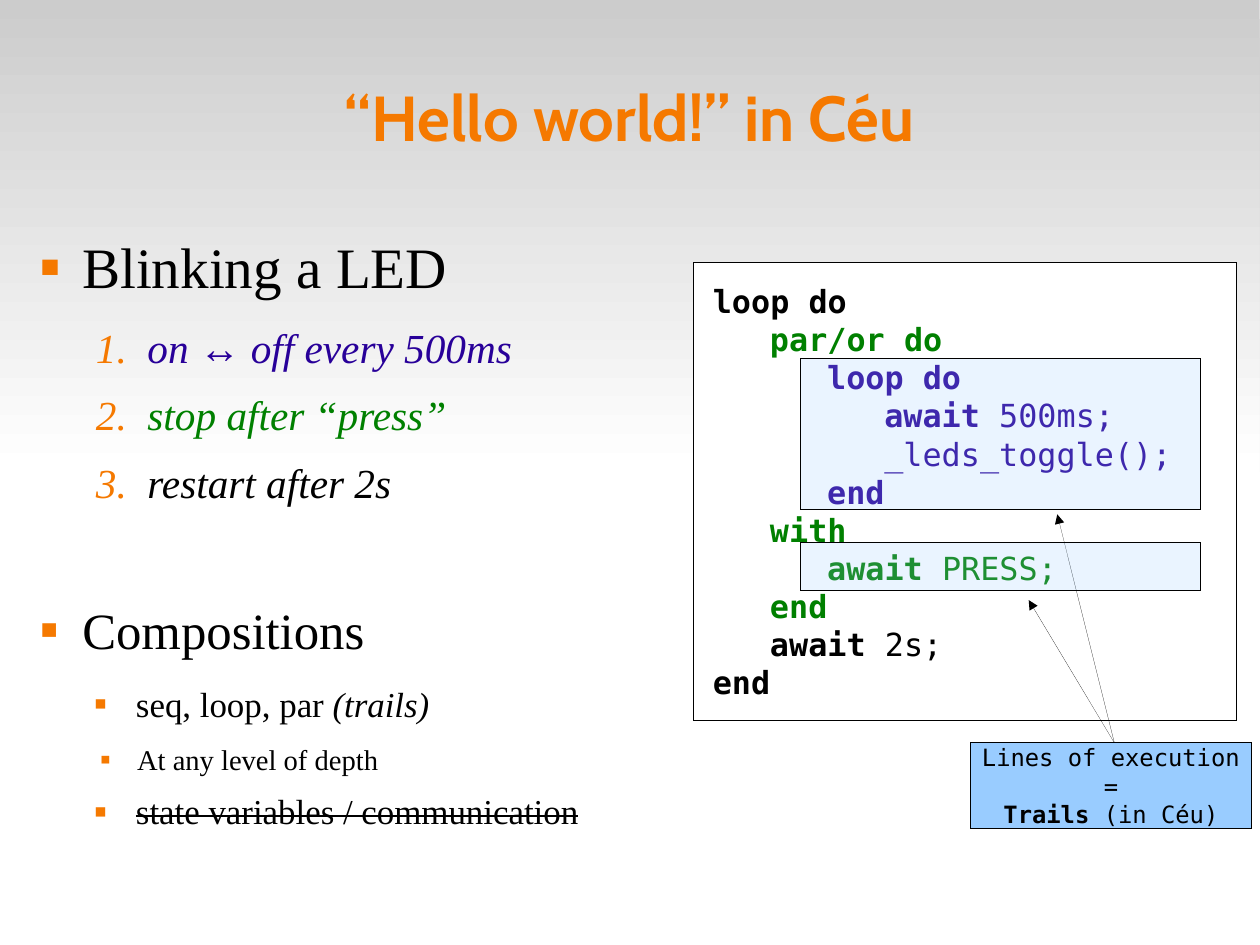
from pptx import Presentation
from pptx.dml.color import RGBColor
from pptx.enum.shapes import MSO_CONNECTOR, MSO_SHAPE
from pptx.enum.text import MSO_ANCHOR, PP_ALIGN
from pptx.oxml.ns import qn
from pptx.util import Inches, Pt
from lxml import etree

COLORS = {"black": "000000", "white": "FFFFFF", "gray": "CCCCCC", "orange": "F57900",
          "green": "008000", "violet": "280099", "sky": "99CCFF"}
MONO, SERIF = "DejaVu Sans Mono", "Times New Roman"

prs = Presentation()
prs.slide_width, prs.slide_height = Inches(28 / 2.54), Inches(21 / 2.54)
slide = prs.slides.add_slide(prs.slide_layouts[6])


def add_box(left, top, width, height, fill):
    box = slide.shapes.add_shape(MSO_SHAPE.RECTANGLE, *map(Inches, (left, top, width, height)))
    box.shadow.inherit = False
    box.fill.solid()
    box.fill.fore_color.rgb = RGBColor.from_string(COLORS[fill])
    box.line.color.rgb = RGBColor.from_string(COLORS["black"])
    box.line._get_or_add_ln().set("w", "0")
    frame = box.text_frame
    frame.word_wrap = True
    frame.vertical_anchor = MSO_ANCHOR.MIDDLE
    frame.margin_left = frame.margin_right = frame.margin_top = frame.margin_bottom = 0
    return box


def add_run(paragraph, text, font, size, color, bold=False, italic=False):
    run = paragraph.add_run()
    run.text = text
    run.font.name, run.font.size = font, Pt(size)
    run.font.bold, run.font.italic = bold, italic
    run.font.color.rgb = RGBColor.from_string(COLORS[color])
    return run


sky_fade = add_box(0, 0, 11.02, 4.13, "white")
sky_fade.line.fill.background()
sky_fade.fill.gradient()
sky_fade.fill.gradient_angle = 270
for stop, position, color in zip(sky_fade.fill.gradient_stops, (0, 1), ("gray", "white")):
    stop.position = position
    stop.color.rgb = RGBColor.from_string(COLORS[color])

code = add_box(6.07, 2.3, 4.75, 4, "white").text_frame
CODE_LINES = [
    (1, "black", "loop do", ""),
    (4, "green", "par/or do", ""),
    (7, "violet", "loop do", ""),
    (10, "violet", "await", " 500ms;"),
    (10, "violet", "", "_leds_toggle();"),
    (7, "violet", "end", ""),
    (4, "green", "with", ""),
    (7, "green", "await", " PRESS;"),
    (4, "green", "end", ""),
    (4, "black", "await", " 2s;"),
    (1, "black", "end", ""),
]
for number, (column, color, keyword, rest) in enumerate(CODE_LINES):
    line = code.paragraphs[0] if number == 0 else code.add_paragraph()
    line.alignment = PP_ALIGN.LEFT
    line._p.get_or_add_pPr().set("marL", str(Inches(column / 6)))
    for text, bold in ((keyword, True), (rest, False)):
        if text:
            add_run(line, text, MONO, 20, color, bold)

outline = slide.shapes.add_textbox(Inches(0.25), Inches(2.02), Inches(6), Inches(5.81)).text_frame
outline.word_wrap = True
outline.margin_left = outline.margin_right = outline.margin_top = outline.margin_bottom = 0
LEVELS = {
    "topic": (0, 0.47, 0.35, 14.2),
    "step": (1, 1.04, 0.45, 11.3),
    "point": (1, 0.94, 0.35, 11.3),
    "detail": (2, 0.95, 0.31, 8.5),
}
OUTLINE = [
    ("topic", 36, "black", [("Blinking a LED", False)]),
    ("step", 26, "violet", [("on", True), (" ↔ ", False), ("off every 500ms", True)]),
    ("step", 26, "green", [("stop after “press”", True)]),
    ("step", 26, "black", [("restart after 2s", True)]),
    ("topic", 32, "black", [("Compositions", False)]),
    ("point", 22, "black", [("seq, loop, par ", False), ("(trails)", True)]),
    ("detail", 18, "black", [("At any level of depth", False)]),
    ("point", 22, "black", [("state variables / communication", False)]),
]
for number, (kind, size, color, parts) in enumerate(OUTLINE):
    item = outline.paragraphs[0] if number == 0 else outline.add_paragraph()
    item.level, margin, hanging, after = LEVELS[kind]
    item.space_after = Pt(after)
    if kind == "topic" and number:
        item.space_before = Pt(46.8)
    props = item._p.get_or_add_pPr()
    props.set("marL", str(Inches(margin)))
    props.set("indent", str(-Inches(hanging)))
    bullet_color = etree.SubElement(props, qn("a:buClr"))
    etree.SubElement(bullet_color, qn("a:srgbClr"), val=COLORS["orange"])
    if kind == "step":
        etree.SubElement(props, qn("a:buAutoNum"), type="arabicPeriod")
    else:
        etree.SubElement(props, qn("a:buSzPct"), val="45000")
        etree.SubElement(props, qn("a:buFont"), typeface=MONO)
        etree.SubElement(props, qn("a:buChar"), char="■")
    for text, italic in parts:
        run = add_run(item, text, SERIF, size, color, italic=italic)
        if text.startswith("state"):
            run._r.get_or_add_rPr().set("strike", "sngStrike")

title = slide.shapes.add_textbox(Inches(0.55), Inches(0.33), Inches(9.92), Inches(1.38)).text_frame
title.word_wrap = True
title.vertical_anchor = MSO_ANCHOR.MIDDLE
title.margin_left = title.margin_right = title.margin_top = title.margin_bottom = 0
title.paragraphs[0].alignment = PP_ALIGN.CENTER
add_run(title.paragraphs[0], "“Hello world!” in Céu", "Cabin", 40, "orange", bold=True)

trails_note = add_box(8.49, 6.5, 2.46, 0.75, "sky").text_frame
NOTE_LINES = [[("Lines of execution", False)], [("=", False)], [("Trails", True), (" (in Céu)", False)]]
for number, parts in enumerate(NOTE_LINES):
    line = trails_note.paragraphs[0] if number == 0 else trails_note.add_paragraph()
    line.alignment = PP_ALIGN.CENTER
    for text, bold in parts:
        add_run(line, text, MONO, 15, "black", bold)

for tip_x, tip_y in ((9, 5.25), (9.25, 4.5)):
    arrow = slide.shapes.add_connector(
        MSO_CONNECTOR.STRAIGHT, *map(Inches, (9.75, 6.5, tip_x, tip_y)))
    arrow.line.color.rgb = RGBColor.from_string(COLORS["black"])
    stroke = arrow.line._get_or_add_ln()
    stroke.set("w", "0")
    etree.SubElement(stroke, qn("a:tailEnd"), type="triangle")
    etree.SubElement(arrow._element.spPr, qn("a:effectLst"))

for top, height in ((3.14, 1.32), (4.75, 0.42)):
    trail = add_box(7, top, 3.5, height, "sky")
    tint = trail._element.spPr.find(qn("a:solidFill")).find(qn("a:srgbClr"))
    etree.SubElement(tint, qn("a:alpha"), val="20000")

prs.save("out.pptx")
